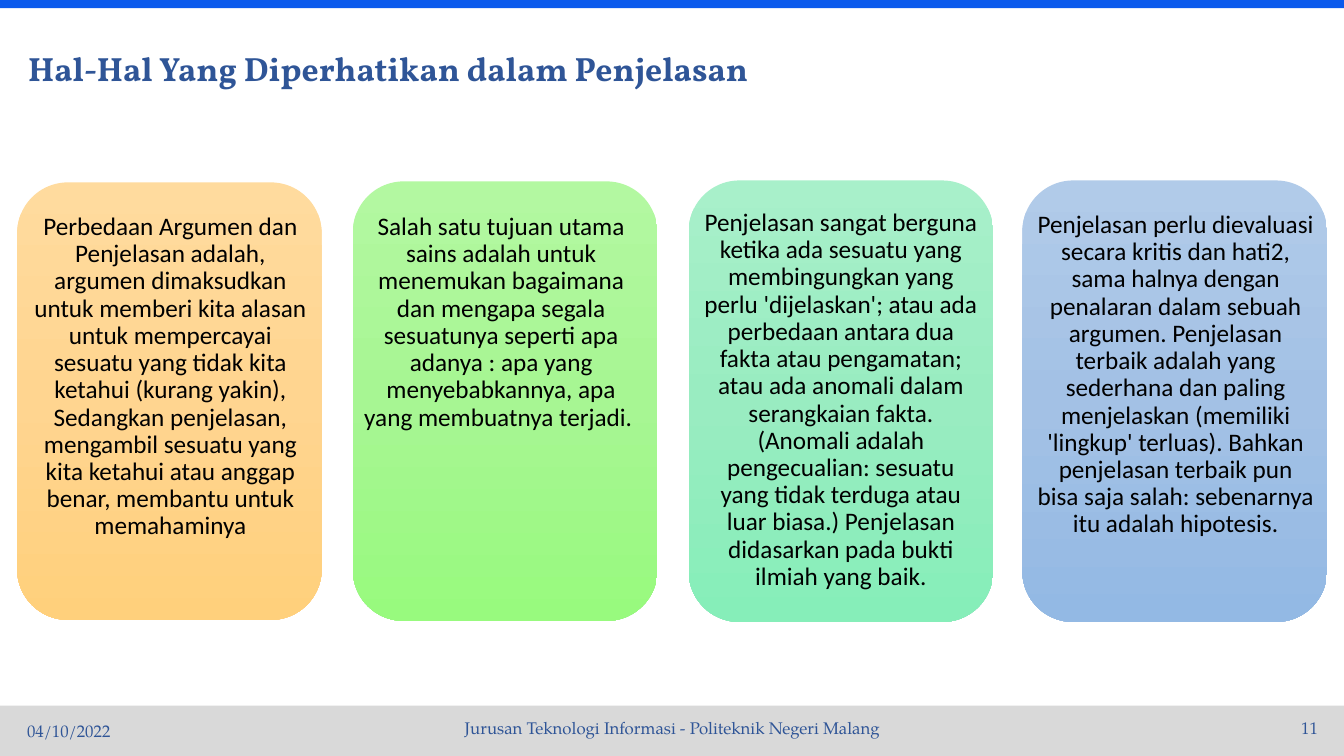
from copy import deepcopy

from pptx import Presentation
from pptx.dml.color import RGBColor
from pptx.enum.shapes import MSO_SHAPE
from pptx.enum.text import MSO_ANCHOR, PP_ALIGN
from pptx.oxml.ns import qn
from pptx.util import Inches, Pt

BLUE = RGBColor(0x0B, 0x5A, 0xEC)
NAVY = RGBColor(0x2F, 0x55, 0x97)
GREY = RGBColor(0xD9, 0xD9, 0xD9)
BLACK = RGBColor(0x00, 0x00, 0x00)
ORANGES = [RGBColor(0xFF, 0xDB, 0x9E), RGBColor(0xFF, 0xD5, 0x90), RGBColor(0xFF, 0xD0, 0x7C)]
GREENS = [RGBColor(0xB3, 0xF8, 0xA1), RGBColor(0xA7, 0xF6, 0x93), RGBColor(0x98, 0xFA, 0x7E)]
MINTS = [RGBColor(0xA8, 0xF0, 0xCA), RGBColor(0x99, 0xEC, 0xC1), RGBColor(0x86, 0xEE, 0xB9)]
SKIES = [RGBColor(0xB1, 0xCB, 0xE9), RGBColor(0xA3, 0xC1, 0xE5), RGBColor(0x93, 0xB9, 0xE4)]

SLIDE_WIDTH, SLIDE_HEIGHT = 13.33, 7.5
CARD_WIDTH, CARD_MIDDLE = 3.02, 3.98

# Card left, card height, text left, text top, gradient, wording
CARDS = [
    (0.17, 4.34, 0.18, 1.98, ORANGES,
     "Perbedaan Argumen dan Penjelasan adalah, argumen dimaksudkan untuk memberi kita alasan "
     "untuk mempercayai sesuatu yang tidak kita ketahui (kurang yakin), Sedangkan penjelasan, "
     "mengambil sesuatu yang kita ketahui atau anggap benar, membantu untuk memahaminya"),
    (3.5, 4.36, 3.46, 1.98, GREENS,
     "Salah satu tujuan utama sains adalah untuk menemukan bagaimana dan mengapa segala "
     "sesuatunya seperti apa adanya : apa yang menyebabkannya, apa yang membuatnya terjadi. "),
    (6.83, 4.38, 6.83, 1.94, MINTS,
     "Penjelasan sangat berguna ketika ada sesuatu yang membingungkan yang perlu 'dijelaskan'; "
     "atau ada perbedaan antara dua fakta atau pengamatan; atau ada anomali dalam serangkaian "
     "fakta. (Anomali adalah pengecualian: sesuatu yang tidak terduga atau luar biasa.) "
     "Penjelasan didasarkan pada bukti ilmiah yang baik."),
    (10.14, 4.38, 10.15, 1.96, SKIES,
     "Penjelasan perlu dievaluasi secara kritis dan hati2, sama halnya dengan penalaran dalam "
     "sebuah argumen. Penjelasan terbaik adalah yang sederhana dan paling menjelaskan (memiliki "
     "'lingkup' terluas). Bahkan penjelasan terbaik pun bisa saja salah: sebenarnya itu adalah "
     "hipotesis."),
]

# Left, top, width, alignment, wording
FOOTERS = [
    (0.17, 7.05, 3, PP_ALIGN.LEFT, "04/10/2022"),
    (3.17, 7.02, 7, PP_ALIGN.CENTER, "Jurusan Teknologi Informasi - Politeknik Negeri Malang"),
    (10.17, 7.02, 3, PP_ALIGN.RIGHT, "11"),
]


class SlideBuilder:
    title_font, body_font, footer_font = "Vollkorn", "Calibri", "TeX Gyre Pagella"

    def __init__(self, slide):
        self.slide = slide

    def fill_text(self, frame, text, font, size, color, align, bold=False):
        frame.word_wrap = True
        frame.text = text
        para = frame.paragraphs[0]
        para.alignment = align
        span = para.runs[0]
        span.font.name = font
        span.font.size = Pt(size)
        span.font.bold = bold
        span.font.color.rgb = color
        return para

    def title(self, text):
        box = self.slide.shapes.title
        box.left, box.top = Inches(0.18), Inches(0.33)
        box.width, box.height = Inches(12.08), Inches(0.75)
        box.text_frame.vertical_anchor = MSO_ANCHOR.MIDDLE
        para = self.fill_text(box.text_frame, text, self.title_font, 24, NAVY, PP_ALIGN.LEFT, True)
        para.line_spacing = 0.9

    def shape(self, kind, left, top, width, height):
        shape = self.slide.shapes.add_shape(
            kind, Inches(left), Inches(top), Inches(width), Inches(height))
        shape.shadow.inherit = False
        shape.line.fill.background()
        return shape

    def band(self, top, height, color):
        band = self.shape(MSO_SHAPE.RECTANGLE, 0, top, SLIDE_WIDTH, height)
        band.fill.solid()
        band.fill.fore_color.rgb = color

    def card(self, left, height, colors):
        top = CARD_MIDDLE - height / 2
        card = self.shape(MSO_SHAPE.ROUNDED_RECTANGLE, left, top, CARD_WIDTH, height)
        card.fill.gradient()
        card.fill.gradient_angle = 270
        # The default gradient has two stops; add one in the middle
        stop_list = card.element.spPr.find(qn("a:gradFill")).find(qn("a:gsLst"))
        stop_list.insert(1, deepcopy(stop_list[0]))
        for stop, position, color in zip(card.fill.gradient_stops, (0, 0.5, 1), colors):
            stop.position = position
            stop.color.rgb = color

    def text_box(self, left, top, width, height):
        box = self.slide.shapes.add_textbox(
            Inches(left), Inches(top), Inches(width), Inches(height))
        return box.text_frame

    def card_text(self, left, top, text):
        frame = self.text_box(left, top, CARD_WIDTH, 1.12)
        frame.margin_left = frame.margin_top = frame.margin_right = Inches(0.14)
        frame.margin_bottom = 0
        para = self.fill_text(frame, text, self.body_font, 18, BLACK, PP_ALIGN.CENTER)
        para.line_spacing = 0.9

    def footer(self, left, top, width, align, text):
        frame = self.text_box(left, top, width, 0.4)
        frame.vertical_anchor = MSO_ANCHOR.MIDDLE
        para = self.fill_text(frame, text, self.footer_font, 12, NAVY, align)
        para.space_after = Pt(6)


def main():
    deck = Presentation()
    deck.slide_width, deck.slide_height = Inches(SLIDE_WIDTH), Inches(SLIDE_HEIGHT)
    builder = SlideBuilder(deck.slides.add_slide(deck.slide_layouts[5]))

    # Bands and title
    builder.band(7, 0.5, GREY)
    builder.band(0, 0.08, BLUE)
    builder.title("Hal-Hal Yang Diperhatikan dalam Penjelasan")

    # Footer line
    for footer in FOOTERS:
        builder.footer(*footer)

    # Four cards with their text
    for left, height, text_left, text_top, colors, text in CARDS:
        builder.card(left, height, colors)
        builder.card_text(text_left, text_top, text)

    deck.save("out.pptx")


if __name__ == "__main__":
    main()
